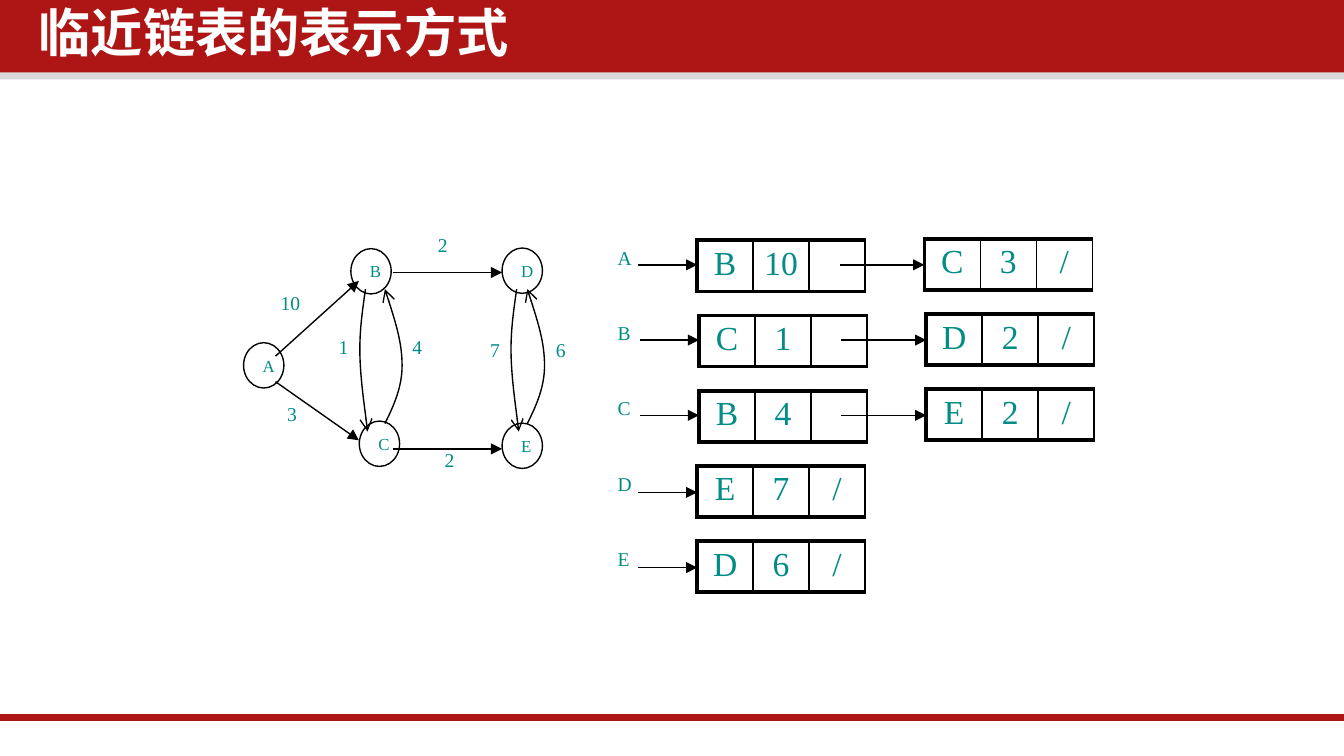
from lxml import etree
from pptx import Presentation
from pptx.dml.color import RGBColor
from pptx.enum import shapes as kinds, text as txt
from pptx.oxml import ns
from pptx.util import Pt

RED = RGBColor(0xAE, 0x16, 0x16)
GREY = RGBColor(0xD9, 0xD9, 0xD9)
TEAL = RGBColor(0x00, 0x8C, 0x87)
BLACK = RGBColor(0, 0, 0)
WHITE = RGBColor(255, 255, 255)
SERIF, SANS = "Times New Roman", "Noto Sans CJK SC"

TITLE = "临近链表的表示方式"
NODES = [("A", 130.5, 183.6), ("B", 188, 133.2), ("C", 192.5, 225.6),
         ("D", 269, 132.9), ("E", 269, 226.7)]
EDGES = [(147.6, 190.8, 192.3, 150.5), (147.6, 204.5, 192.3, 235.9),
         (210.4, 146, 269, 146), (210.4, 240.5, 269, 240.5)]
# Start point and control points, relative to the curve's left and top
DOWN = [(3.2, 0), (1.7, 10.8), (0, 21.6), (0.2, 34.3),
        (0.4, 46.8), (3.6, 70), (4.3, 76.3)]
UP = [(0, 72), (4.7, 62.6), (9.2, 52.6), (9.2, 41),
      (9.2, 28.8), (4.7, 14.4), (0, 0)]
CURVES = [(DOWN, 192.6), (UP, 206.2), (DOWN, 273.6), (UP, 282.5)]
CURVE_TOP = 154.9
WEIGHTS = [("10", 143.3, 152.6), ("2", 227.5, 121.5), ("3", 146.7, 211.7),
           ("1", 174.4, 175.8), ("4", 213.9, 175.8), ("7", 255.5, 177.8),
           ("6", 290.7, 177.8), ("2", 231.2, 236.2)]
# Label, list nodes, left edge, arrow drop from the row's top
LISTS = [("A", [("B", "10", ""), ("C", "3", "/")], 373.5, 13.2),
         ("B", [("C", "1", ""), ("D", "2", "/")], 374.5, 13.2),
         ("C", [("B", "4", ""), ("E", "2", "/")], 374.5, 13.2),
         ("D", [("E", "7", "/")], 373.5, 14.2),
         ("E", [("D", "6", "/")], 373.5, 14.2)]
ROW_TOP, PITCH = 128.7, 40.3
CELL, HIGH, STEP, TAIL = 30, 27.4, 121.7, 31.7

deck = Presentation()
deck.slide_width, deck.slide_height = Pt(720), Pt(405)
slide = deck.slides.add_slide(deck.slide_layouts[6])
art = slide.shapes


def write(para, words, size, font=SERIF, color=TEAL, bold=False):
    run = para.add_run()
    run.text = words
    run.font.size, run.font.name = Pt(size), font
    run.font.color.rgb, run.font.bold = color, bold
    return run


def ink(shape, color=BLACK, width=0.75, head=None):
    shape.line.color.rgb, shape.line.width = color, Pt(width)
    if head:
        line = shape.line._get_or_add_ln()
        etree.SubElement(line, ns.qn("a:tailEnd"), type=head)


def link(x1, y1, x2, y2, color=BLACK, width=0.75, head="triangle"):
    wire = art.add_connector(kinds.MSO_CONNECTOR.STRAIGHT,
                             Pt(x1), Pt(y1), Pt(x2), Pt(y2))
    ink(wire, color, width, head)
    etree.SubElement(wire._element.spPr, ns.qn("a:effectLst"))


def band(top, high, color):
    bar = art.add_shape(kinds.MSO_SHAPE.RECTANGLE, 0, Pt(top), Pt(720), Pt(high))
    bar.shadow.inherit = False
    bar.fill.solid()
    bar.fill.fore_color.rgb = color
    bar.line.fill.background()


def label(words, x, y):
    box = art.add_textbox(Pt(x), Pt(y), Pt(14.2 + 5.25 * len(words)), Pt(20))
    box.text_frame.word_wrap = False
    write(box.text_frame.paragraphs[0], words, 10.5)


def node(name, x, y):
    ring = art.add_shape(kinds.MSO_SHAPE.OVAL, Pt(x), Pt(y), Pt(21.6), Pt(24.3))
    ring.shadow.inherit = False
    ring.fill.background()
    ink(ring)
    frame = ring.text_frame
    frame.word_wrap = True
    frame.vertical_anchor = txt.MSO_ANCHOR.MIDDLE
    frame.paragraphs[0].alignment = txt.PP_ALIGN.CENTER
    write(frame.paragraphs[0], name, 9)


def curve(points, left):
    """Draw a chain of cubic curves ending in an open arrowhead."""
    spots = [(Pt(left + x), Pt(CURVE_TOP + y)) for x, y in points]
    pen = art.build_freeform(*spots[0])
    pen.add_line_segments(spots[1:], close=False)
    bow = pen.convert_to_shape()
    bow.shadow.inherit = False
    bow.fill.background()
    ink(bow, head="arrow")
    track = bow._element.find(".//" + ns.qn("a:path"))
    steps = track.findall(ns.qn("a:lnTo"))
    for i in range(0, len(steps), 3):
        bend = etree.SubElement(track, ns.qn("a:cubicBezTo"))
        for step in steps[i:i + 3]:
            bend.append(step[0])
            track.remove(step)


def edge(cell, side, width):
    line = etree.SubElement(cell._tc.get_or_add_tcPr(), ns.qn("a:ln" + side),
                            w=str(Pt(width)))
    fill = etree.SubElement(line, ns.qn("a:solidFill"))
    etree.SubElement(fill, ns.qn("a:srgbClr"), val=str(BLACK))


def record(values, x, y):
    """Draw one list node as a one-row table."""
    count = len(values)
    grid = art.add_table(1, count, Pt(x), Pt(y), Pt(CELL * count), Pt(HIGH)).table
    grid.first_row = grid.horz_banding = False
    for i, value in enumerate(values):
        grid.columns[i].width = Pt(CELL)
        cell = grid.cell(0, i)
        cell.margin_left = cell.margin_right = Pt(5)
        cell.margin_top = cell.margin_bottom = Pt(2.7)
        for side, width in zip("LRTB", (1 if i else 2.25, 1, 2.25, 2.25)):
            edge(cell, side, width)
        cell.fill.background()
        para = cell.text_frame.paragraphs[0]
        para.alignment = txt.PP_ALIGN.CENTER
        para.font.size = Pt(18)
        if value:
            write(para, value, 18)


band(36, 6.5, GREY)
band(0, 38.9, RED)
link(0, 384.5, 720, 384.5, RED, 4, None)

for item in NODES:
    node(*item)
for item in EDGES:
    link(*item)
for item in CURVES:
    curve(*item)
for item in WEIGHTS:
    label(*item)

for i, (name, chain, left, drop) in enumerate(LISTS):
    top = ROW_TOP + i * PITCH
    for j, values in enumerate(chain):
        record(values, left + j * STEP, top - j * 0.8)
    label(name, 323.8, top - 0.5)
    link(left - TAIL, top + drop, left, top + drop)
    if len(chain) > 1:
        link(left + 76.3, top + drop, left + STEP, top + drop)

head = art.add_textbox(Pt(15.8), Pt(1.4), Pt(550), Pt(42.5)).text_frame
head.word_wrap = True
head.margin_left = head.margin_right = Pt(5)
head.margin_top = head.margin_bottom = Pt(2.7)
para = head.paragraphs[0]
para.line_spacing, para.space_before = 0.9, Pt(7.5)
run = write(para, TITLE, 28, SANS, WHITE, True)
etree.SubElement(run.font._element, ns.qn("a:ea"), typeface=SANS)

deck.save("out.pptx")
